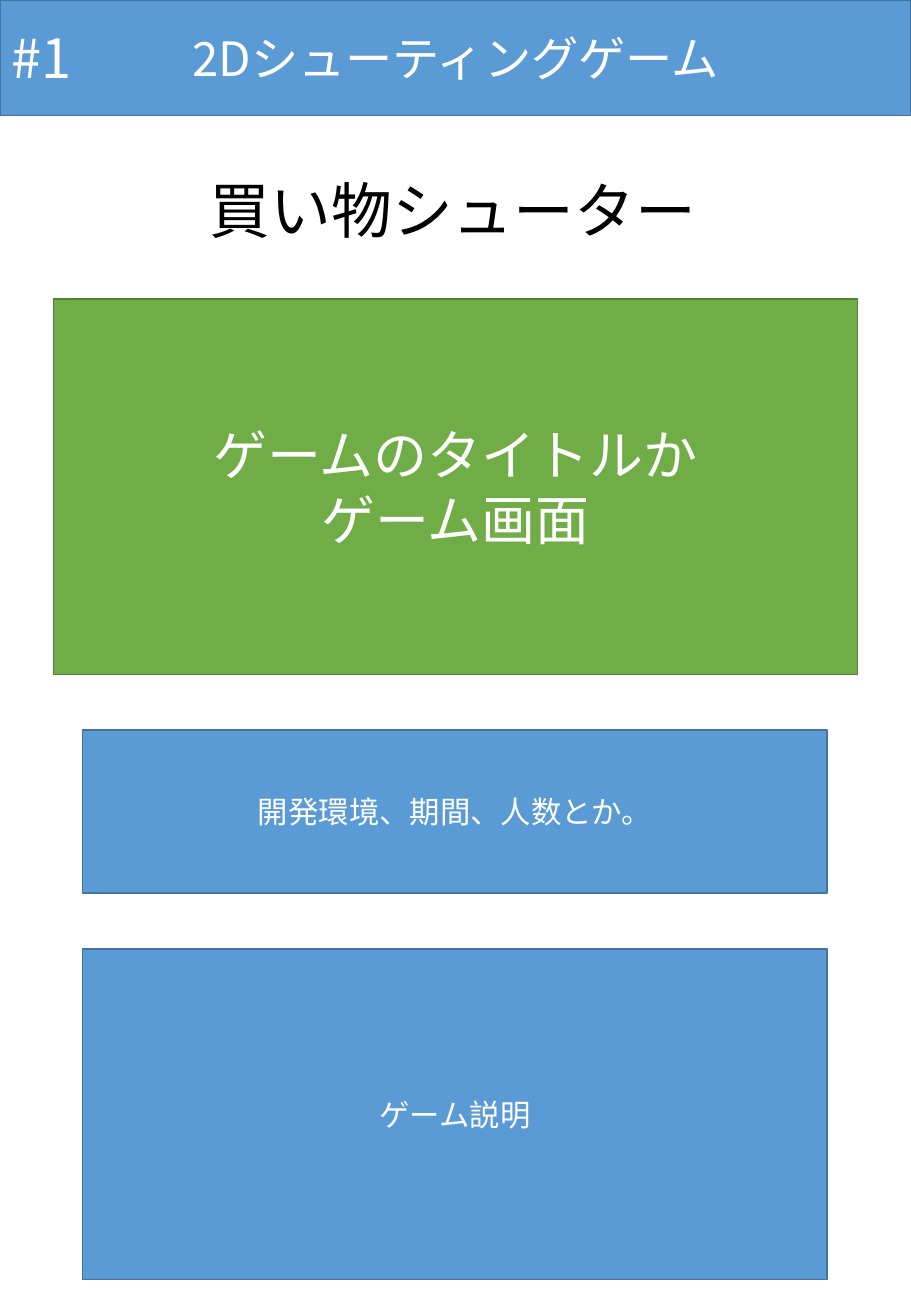
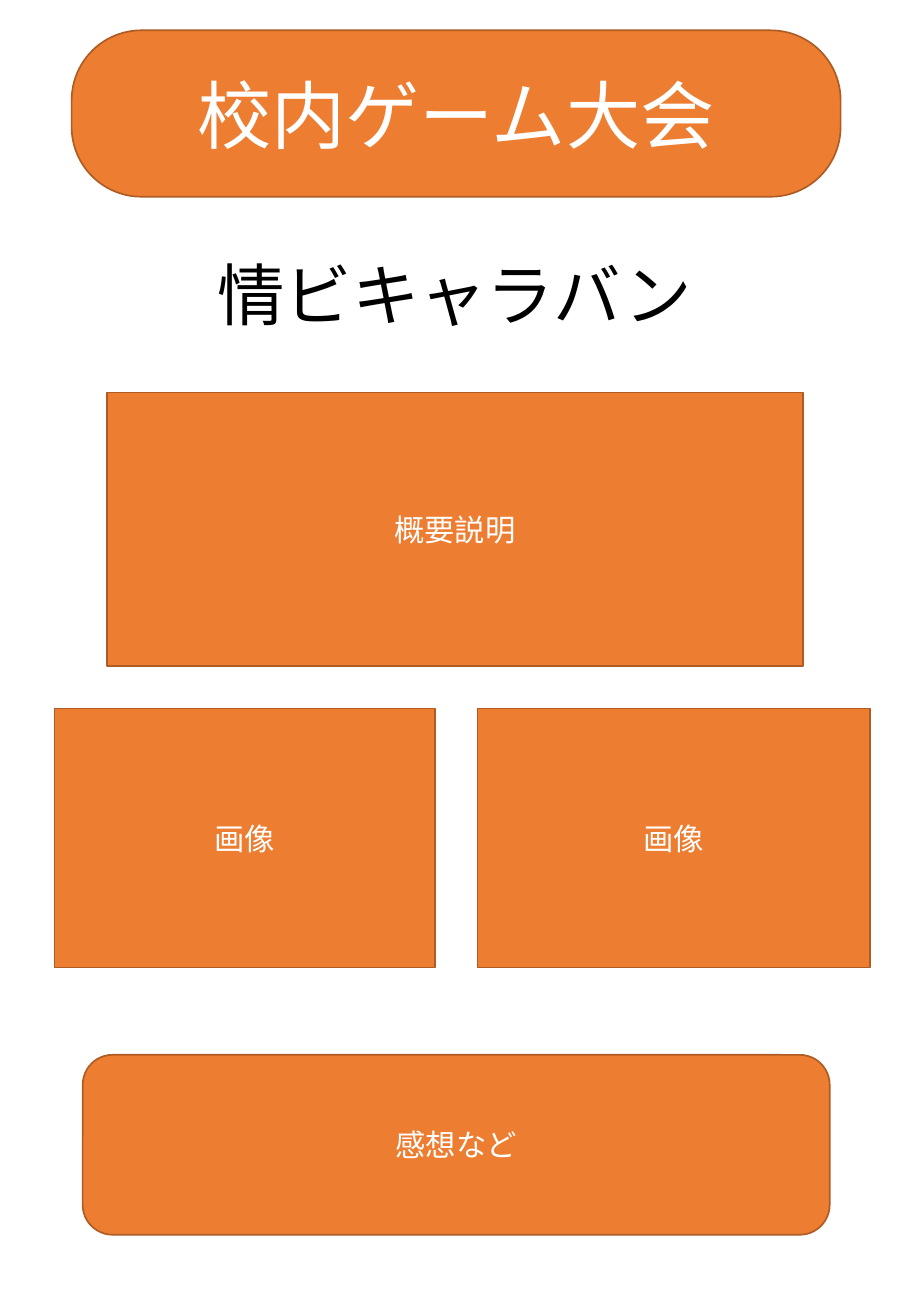
"""Build two game poster layouts."""
from lxml import etree
from pptx import Presentation
from pptx.dml.color import RGBColor
from pptx.enum.shapes import MSO_SHAPE
from pptx.enum.text import MSO_ANCHOR, MSO_AUTO_SIZE, PP_ALIGN
from pptx.oxml.ns import qn
from pptx.util import Pt

RECT, ROUND = MSO_SHAPE.RECTANGLE, MSO_SHAPE.ROUNDED_RECTANGLE
MIDDLE, GROW = MSO_ANCHOR.MIDDLE, MSO_AUTO_SIZE.SHAPE_TO_FIT_TEXT
LEFT, CENTER = PP_ALIGN.LEFT, PP_ALIGN.CENTER
LATIN, JAPANESE = "Calibri", "Noto Sans CJK JP"
COLORS = {
    "blue": "5B9BD5", "blue_line": "43739E",
    "green": "70AD47", "green_line": "538035",
    "orange": "ED7D31", "orange_line": "AF5C24",
    "white": "FFFFFF", "black": "000000",
}


class Poster:
    def __init__(self, prs):
        self.prs = prs
        self.s = None

    def new_slide(self):
        self.s = self.prs.slides.add_slide(self.prs.slide_layouts[6])

    def color(self, name):
        return RGBColor.from_string(COLORS[name])

    def set_text(self, tf, lines, size, font, color, align):
        for i, line in enumerate(lines):
            p = tf.add_paragraph() if i else tf.paragraphs[0]
            p.text = line
            p.alignment = align
            p.font.size = Pt(size)
            p.font.name = font
            p.font.color.rgb = self.color(color)
            rpr = p._p.get_or_add_pPr().get_or_add_defRPr()
            etree.SubElement(rpr, qn("a:ea")).set("typeface", JAPANESE)

    def panel(self, box, color, *lines, size=18, font=LATIN, shape=RECT, corner=None):
        sp = self.s.shapes.add_shape(shape, *map(Pt, box))
        sp.shadow.inherit = False
        sp.fill.solid()
        sp.fill.fore_color.rgb = self.color(color)
        sp.line.color.rgb = self.color(color + "_line")
        sp.line.width = Pt(1)
        if corner is not None:
            sp.adjustments[0] = corner
        sp.text_frame.vertical_anchor = MIDDLE
        self.set_text(sp.text_frame, lines, size, font, "white", CENTER)

    def label(self, box, text, size, font=LATIN, color="black"):
        tf = self.s.shapes.add_textbox(*map(Pt, box)).text_frame
        tf.word_wrap = False
        tf.auto_size = GROW
        self.set_text(tf, [text], size, font, color, LEFT)


prs = Presentation()
prs.slide_width, prs.slide_height = Pt(540), Pt(779.76)
poster = Poster(prs)

poster.new_slide()
poster.panel((0, 0, 540, 68.4), "blue", "2Dシューティングゲーム", size=28, font=JAPANESE)
poster.label((0, 10.8, 55.4, 46), "#1", 32, JAPANESE, "white")
poster.label((117.4, 98.6, 305.3, 51), "買い物シューター", 36, JAPANESE)
poster.panel((49, 562.3, 441.4, 195.8), "blue", "ゲーム説明")
poster.panel((49, 432.7, 441.4, 96.5), "blue", "開発環境、期間、人数とか。")
poster.panel((31.7, 177.1, 476.6, 222.5), "green", "ゲームのタイトルか", "ゲーム画面", size=32)

poster.new_slide()
poster.panel((42.5, 18, 455.8, 98.6), "orange", "校内ゲーム大会", size=44, shape=ROUND, corner=0.42)
poster.panel((63.4, 232.6, 412.6, 162), "orange", "概要説明")
for left, width in ((32.4, 225.4), (283, 232.6)):
    poster.panel((left, 419.8, width, 153.4), "orange", "画像")
poster.panel((49, 625, 442.8, 106.6), "orange", "感想など", shape=ROUND)
poster.label((121.7, 146.2, 297.4, 55.4), "情ビキャラバン", 40)

prs.save("out.pptx")
